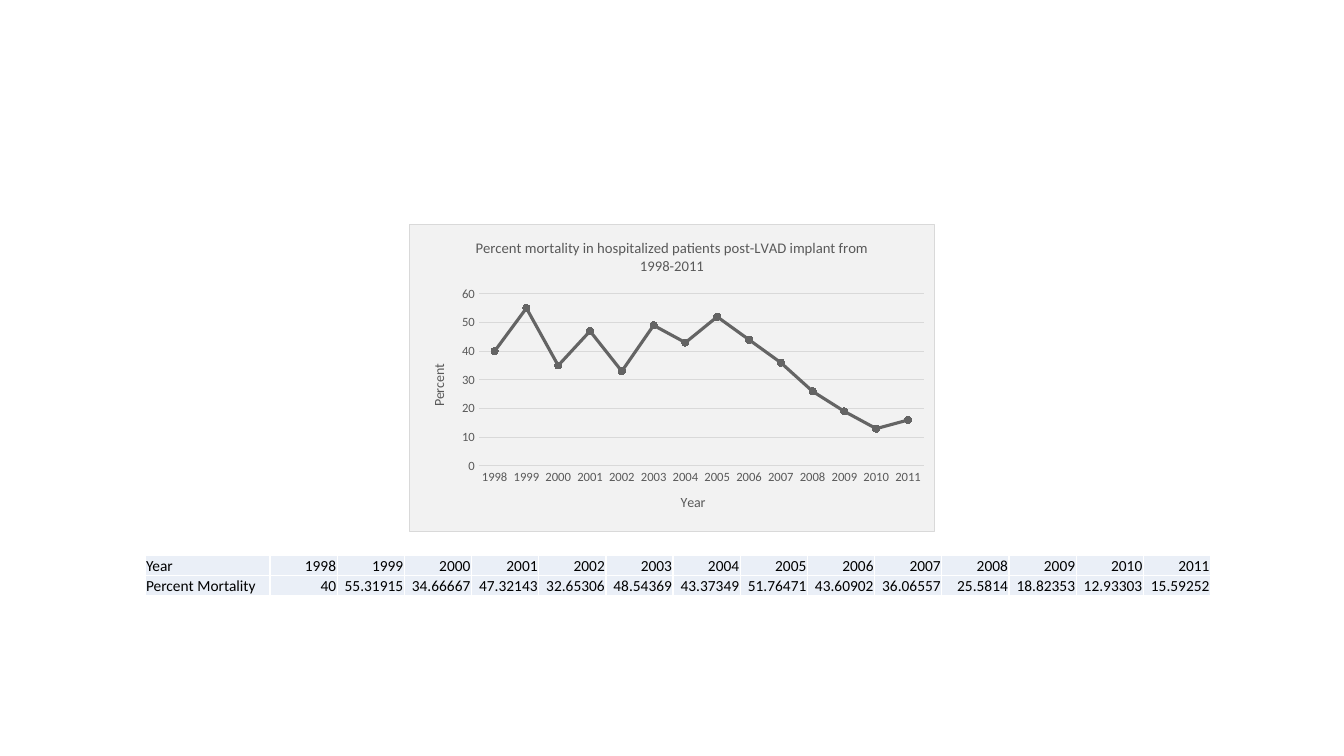
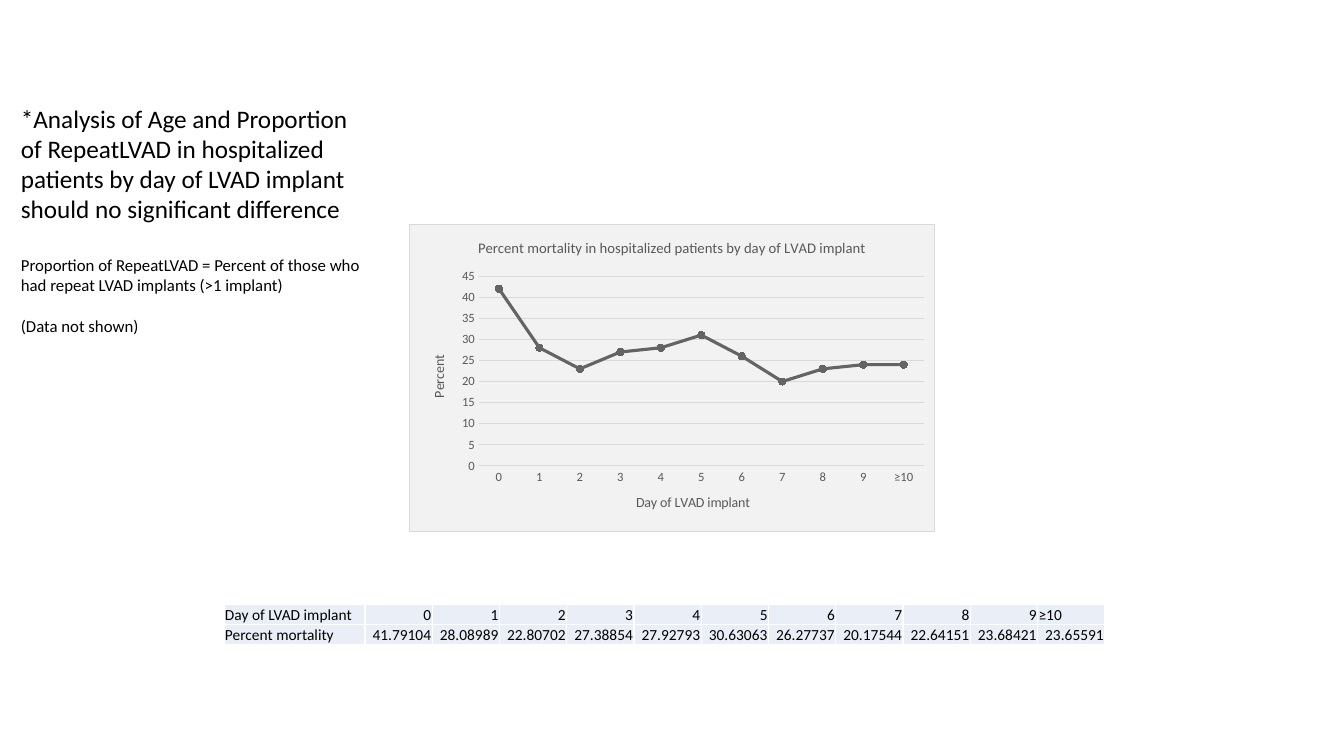
from collections import namedtuple

from lxml.etree import SubElement
from pptx import Presentation
from pptx.chart.data import CategoryChartData
from pptx.dml.color import RGBColor
from pptx.enum.chart import XL_CHART_TYPE, XL_MARKER_STYLE, XL_TICK_MARK
from pptx.enum.text import MSO_ANCHOR, PP_ALIGN
from pptx.oxml import parse_xml
from pptx.oxml.ns import nsdecls, qn
from pptx.util import Inches, Pt

Box = namedtuple("Box", "left top width height")

FONT = "Calibri"
BLACK = RGBColor(0x00, 0x00, 0x00)
LABEL_GREY = RGBColor(0x59, 0x59, 0x59)
SERIES_GREY = RGBColor(0x64, 0x64, 0x64)
GRID_GREY = RGBColor(0xD9, 0xD9, 0xD9)
PANEL_GREY = RGBColor(0xF2, 0xF2, 0xF2)
CELL_BLUE = RGBColor(0xEA, 0xEF, 0xF7)

CHART_BOX = Box(409, 224, 526, 308)

YEARS = [str(year) for year in range(1998, 2012)]
YEAR_MORTALITY = [
    "40", "55.31915", "34.66667", "47.32143", "32.65306", "48.54369", "43.37349",
    "51.76471", "43.60902", "36.06557", "25.5814", "18.82353", "12.93303", "15.59252",
]
DAYS = [str(day) for day in range(10)] + ["≥10"]
DAY_MORTALITY = [
    "41.79104", "28.08989", "22.80702", "27.38854", "27.92793", "30.63063",
    "26.27737", "20.17544", "22.64151", "23.68421", "23.65591",
]
NOTES = [
    ("*Analysis of Age and Proportion of RepeatLVAD in hospitalized patients "
     "by day of LVAD implant should no significant difference", 18, 0),
    ("Proportion of RepeatLVAD = Percent of those who had repeat LVAD implants "
     "(>1 implant)", 12, 22),
    ("(Data not shown)", 12, 15),
]


def pixels(count):
    """Turn pixels into EMU."""
    return round(count * Inches(1) / 100.8)


def place(box):
    """Turn a pixel box into EMU."""
    return [pixels(length) for length in box]


def style_font(font, size, color):
    """Set the shared typeface with a size and colour."""
    font.name = FONT
    font.size = Pt(size)
    font.bold = False
    font.color.rgb = color


def add_span(para, text, size, color=BLACK):
    """Add one formatted run to a paragraph."""
    span = para.add_run()
    span.text = text
    style_font(span.font, size, color)


def style_line(line, color, width):
    """Set the colour and width of a line."""
    line.color.rgb = color
    line.width = Pt(width)


def style_axis(axis, title):
    """Format the labels and title of an axis."""
    axis.major_tick_mark = XL_TICK_MARK.NONE
    axis.minor_tick_mark = XL_TICK_MARK.NONE
    style_font(axis.tick_labels.font, 9, LABEL_GREY)
    add_span(axis.axis_title.text_frame.paragraphs[0], title, 10, LABEL_GREY)


def style_panel(chart):
    """Give the chart a grey panel with a thin border behind a clear plot."""
    panel = parse_xml(
        f'<c:spPr {nsdecls("c", "a")}>'
        f'<a:solidFill><a:srgbClr val="{PANEL_GREY}"/></a:solidFill>'
        f'<a:ln w="{Pt(0.75)}"><a:solidFill><a:srgbClr val="{GRID_GREY}"/>'
        '</a:solidFill></a:ln></c:spPr>'
    )
    chart.element.find(qn("c:txPr")).addprevious(panel)
    plot_area = chart.element.find(f'{qn("c:chart")}/{qn("c:plotArea")}')
    SubElement(SubElement(plot_area, qn("c:spPr")), qn("a:noFill"))


def add_mortality_chart(page, box, title, axis_name, categories, values):
    """Add a line chart of mortality in whole percent."""
    data = CategoryChartData()
    data.categories = categories
    data.add_series("Series 1", [round(float(value)) for value in values])
    chart = page.shapes.add_chart(XL_CHART_TYPE.LINE_MARKERS, *place(box), data).chart
    chart.has_legend = False
    style_font(chart.font, 10, BLACK)
    add_span(chart.chart_title.text_frame.paragraphs[0], title, 10.5, LABEL_GREY)
    style_panel(chart)

    style_axis(chart.category_axis, axis_name)
    style_line(chart.category_axis.format.line, GRID_GREY, 0.75)
    value_axis = chart.value_axis
    style_axis(value_axis, "Percent")
    value_axis.axis_title.element.find(f'.//{qn("a:bodyPr")}').set("rot", "-5400000")
    value_axis.format.line.fill.background()
    style_line(value_axis.major_gridlines.format.line, GRID_GREY, 0.75)

    plot = chart.plots[0]
    plot.vary_by_categories = False
    series = plot.series[0]
    series.smooth = False
    style_line(series.format.line, SERIES_GREY, 2.25)
    marker = series.marker
    marker.style = XL_MARKER_STYLE.CIRCLE
    marker.size = 5
    marker.format.fill.solid()
    marker.format.fill.fore_color.rgb = SERIES_GREY
    marker.format.line.color.rgb = SERIES_GREY


def fill_cell(cell, text):
    """Write a table cell, with numbers set to the right."""
    cell.margin_left = cell.margin_right = cell.margin_top = pixels(1)
    cell.margin_bottom = 0
    cell.vertical_anchor = MSO_ANCHOR.BOTTOM
    cell.fill.solid()
    cell.fill.fore_color.rgb = CELL_BLUE
    para = cell.text_frame.paragraphs[0]
    para.alignment = PP_ALIGN.RIGHT if text[0].isdigit() else PP_ALIGN.LEFT
    add_span(para, text, 11)


def add_value_table(page, box, label_width, rows):
    """Add a table with a label column and equal value columns."""
    column_count = len(rows[0])
    table = page.shapes.add_table(len(rows), column_count, *place(box)).table
    table.first_row = table.horz_banding = False
    value_width = pixels(box.width - label_width) // (column_count - 1)
    for index, column in enumerate(table.columns):
        column.width = value_width if index else pixels(label_width)
    for row_index, texts in enumerate(rows):
        for column_index, text in enumerate(texts):
            fill_cell(table.cell(row_index, column_index), text)


def add_notes(page, box, notes):
    """Add a text box of paragraphs given as text, size and space before."""
    frame = page.shapes.add_textbox(*place(box)).text_frame
    frame.word_wrap = True
    for index, (text, size, space) in enumerate(notes):
        para = frame.add_paragraph() if index else frame.paragraphs[0]
        para.space_before = Pt(space)
        add_span(para, text, size)


def add_year_page(deck):
    """Add the slide on mortality by year."""
    page = deck.slides.add_slide(deck.slide_layouts[6])
    add_mortality_chart(
        page, CHART_BOX,
        "Percent mortality in hospitalized patients post-LVAD implant from 1998-2011",
        "Year", YEARS, YEAR_MORTALITY)
    rows = [["Year", *YEARS], ["Percent Mortality", *YEAR_MORTALITY]]
    add_value_table(page, Box(145, 555, 1066, 41), 125, rows)


def add_day_page(deck):
    """Add the slide on mortality by day of implant."""
    page = deck.slides.add_slide(deck.slide_layouts[6])
    add_mortality_chart(
        page, CHART_BOX,
        "Percent mortality in hospitalized patients by day of LVAD implant",
        "Day of LVAD implant", DAYS, DAY_MORTALITY)
    rows = [["Day of LVAD implant", *DAYS], ["Percent mortality", *DAY_MORTALITY]]
    add_value_table(page, Box(224, 604, 881, 41), 141, rows)
    add_notes(page, Box(11, 98, 372, 244), NOTES)


def main():
    """Build and save the deck."""
    deck = Presentation()
    deck.slide_width = pixels(1344)
    deck.slide_height = pixels(756)
    add_year_page(deck)
    add_day_page(deck)
    deck.save("out.pptx")


main()
